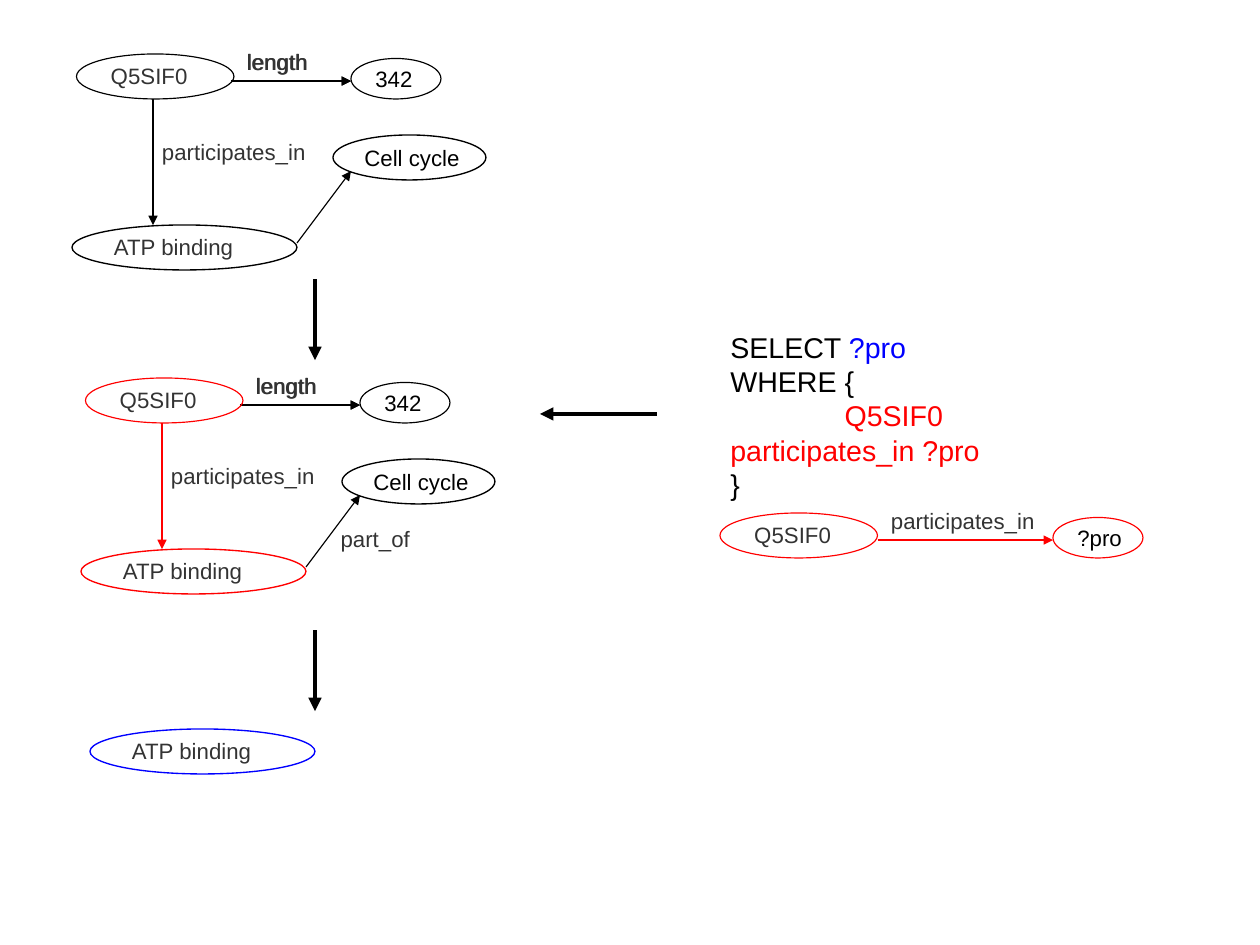
"""Build a slide showing how a SPARQL query selects part of a protein graph."""
import pptx
import pptx.util
import pptx.dml.color
import pptx.enum.shapes
import pptx.enum.text
import pptx.oxml.ns
from lxml import etree

Cm, Pt = pptx.util.Cm, pptx.util.Pt
RGBColor = pptx.dml.color.RGBColor
BLACK = RGBColor(0x00, 0x00, 0x00)
GREY = RGBColor(0x33, 0x33, 0x33)
RED = RGBColor(0xFF, 0x00, 0x00)
BLUE = RGBColor(0x00, 0x00, 0xFF)
MIDDLE = pptx.enum.text.MSO_ANCHOR.MIDDLE
LEFT = pptx.enum.text.PP_ALIGN.LEFT
NODES = {
    "Q5SIF0": (3.5, 1, 0.25, 0.13, 0.75, GREY),
    "342": (2, 0.9, 0.25, 0.13, 0.75, BLACK),
    "?pro": (2, 0.9, 0.25, 0.13, 0.75, BLACK),
    "ATP binding": (5, 1, 0.2, 0.08, 0.85, GREY),
    "Cell cycle": (3.4, 1, 0.2, 0.08, 0.85, BLACK),
}

prs = pptx.Presentation()
prs.slide_width, prs.slide_height = Cm(28), Cm(21)
s = prs.slides.add_slide(prs.slide_layouts[6])


def add_label(text, x, y, line=None):
    if line is None:
        sp = s.shapes.add_textbox(Cm(x), Cm(y), Cm(4.5), Cm(0.8))
        inset_x, inset_y, color = 0, 0, GREY
    else:
        width, height, inset_x, inset_y, weight, color = NODES[text]
        oval = pptx.enum.shapes.MSO_SHAPE.OVAL
        sp = s.shapes.add_shape(oval, Cm(x), Cm(y), Cm(width), Cm(height))
        sp.shadow.inherit = False
        sp.fill.background()
        sp.line.color.rgb = line
        sp.line.width = Pt(weight)
    tf = sp.text_frame
    tf.text = text
    tf.word_wrap = line is None
    tf.vertical_anchor = MIDDLE
    tf.margin_left = tf.margin_right = Cm(inset_x)
    tf.margin_top = tf.margin_bottom = Cm(inset_y)
    p = tf.paragraphs[0]
    p.alignment = LEFT
    if color == GREY:
        p.line_spacing = 0.95
    r = p.runs[0]
    r.font.name, r.font.size, r.font.color.rgb = "Arial", Pt(14), color


def add_arrow(x1, y1, x2, y2, color=BLACK, weight=0.75):
    straight = pptx.enum.shapes.MSO_CONNECTOR.STRAIGHT
    c = s.shapes.add_connector(straight, Cm(x1), Cm(y1), Cm(x2), Cm(y2))
    c.line.color.rgb = color
    c.line.width = Pt(weight)
    qn = pptx.oxml.ns.qn
    etree.SubElement(c.line._get_or_add_ln(), qn("a:tailEnd"), type="triangle")
    etree.SubElement(c._element.spPr, qn("a:effectLst"))


for x, y, match in [(1.6, 1, BLACK), (1.8, 8.2, RED)]:
    for shift in (0, -0.02):
        add_label("length", x + 3.9 + shift, y)
        add_arrow(x + 3.55 + shift, y + 0.8, x + 6.2, y + 0.8)
    add_label("participates_in", x + 2, y + 2)
    add_arrow(x + 1.8, y + 1.2, x + 1.8, y + 4, match, 0.85)
    add_arrow(x + 5, y + 4.4, x + 6.2, y + 2.8)
    add_label("Q5SIF0", x + 0.1, y + 0.2, match)
    add_label("342", x + 6.2, y + 0.3, BLACK)
    add_label("Cell cycle", x + 5.8, y + 2, BLACK)
    add_label("ATP binding", x, y + 4, match)
add_label("part_of", 7.57, 11.6)
add_label("ATP binding", 2, 16.2, BLUE)

add_label("Q5SIF0", 16, 11.4, RED)
add_label("participates_in", 19.8, 11.2)
add_arrow(19.5, 12, 23.4, 12, RED)
add_label("?pro", 23.4, 11.5, RED)

for ends in [(7, 6.2, 7, 8), (7, 14, 7, 15.8), (14.6, 9.2, 12, 9.2)]:
    add_arrow(*ends, weight=2.83)

query = [
    [("SELECT ", BLACK), ("?pro", BLUE)],
    [("WHERE {", BLACK)],
    [("Q5SIF0 participates_in ?pro", RED)],
    [("}", BLACK)],
]
tf = s.shapes.add_textbox(Cm(15.98), Cm(7.2), Cm(9.68), Cm(3.8)).text_frame
tf.word_wrap = True
for i, line in enumerate(query):
    p = tf.paragraphs[0] if i == 0 else tf.add_paragraph()
    for text, color in line:
        r = p.add_run()
        r.text = text
        r.font.name, r.font.size, r.font.color.rgb = "Arial", Pt(18), color
pPr = tf.paragraphs[2]._p.get_or_add_pPr()
pPr.set("marL", "0")
pPr.set("indent", str(Cm(2.54)))

prs.save("out.pptx")
